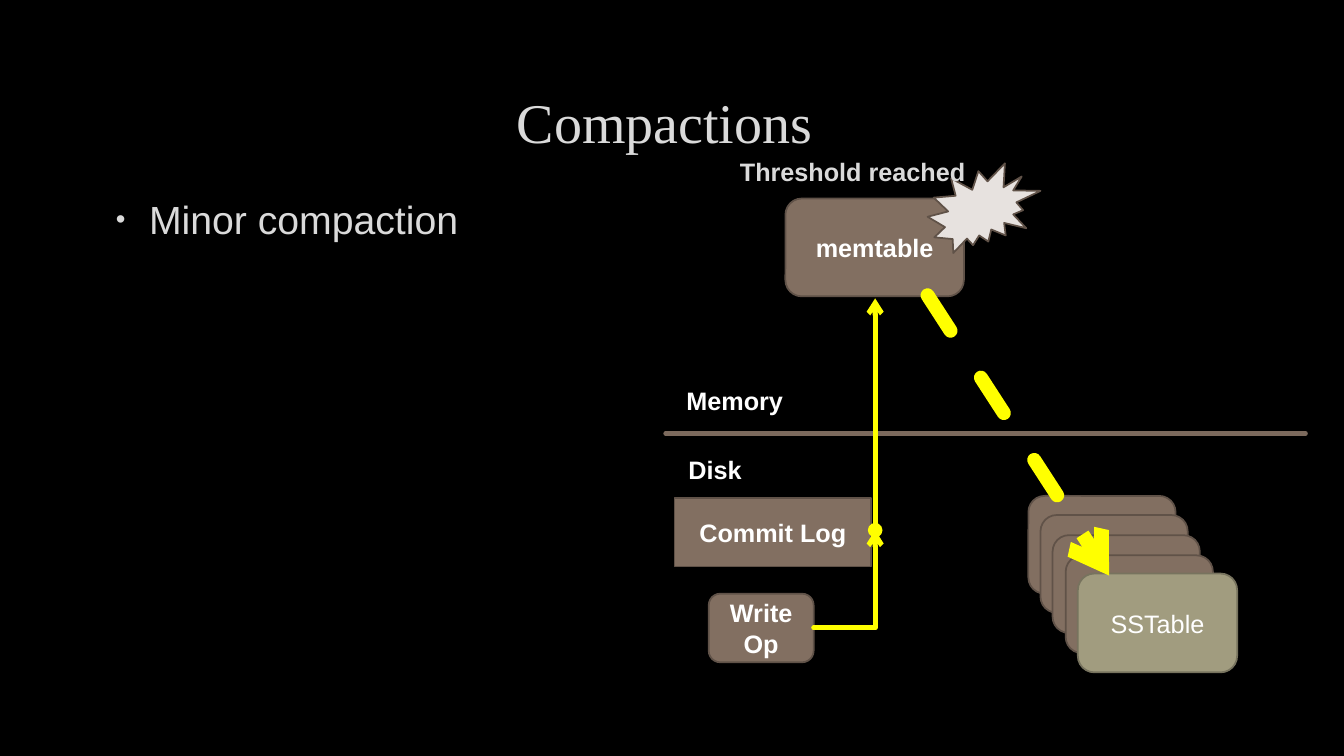
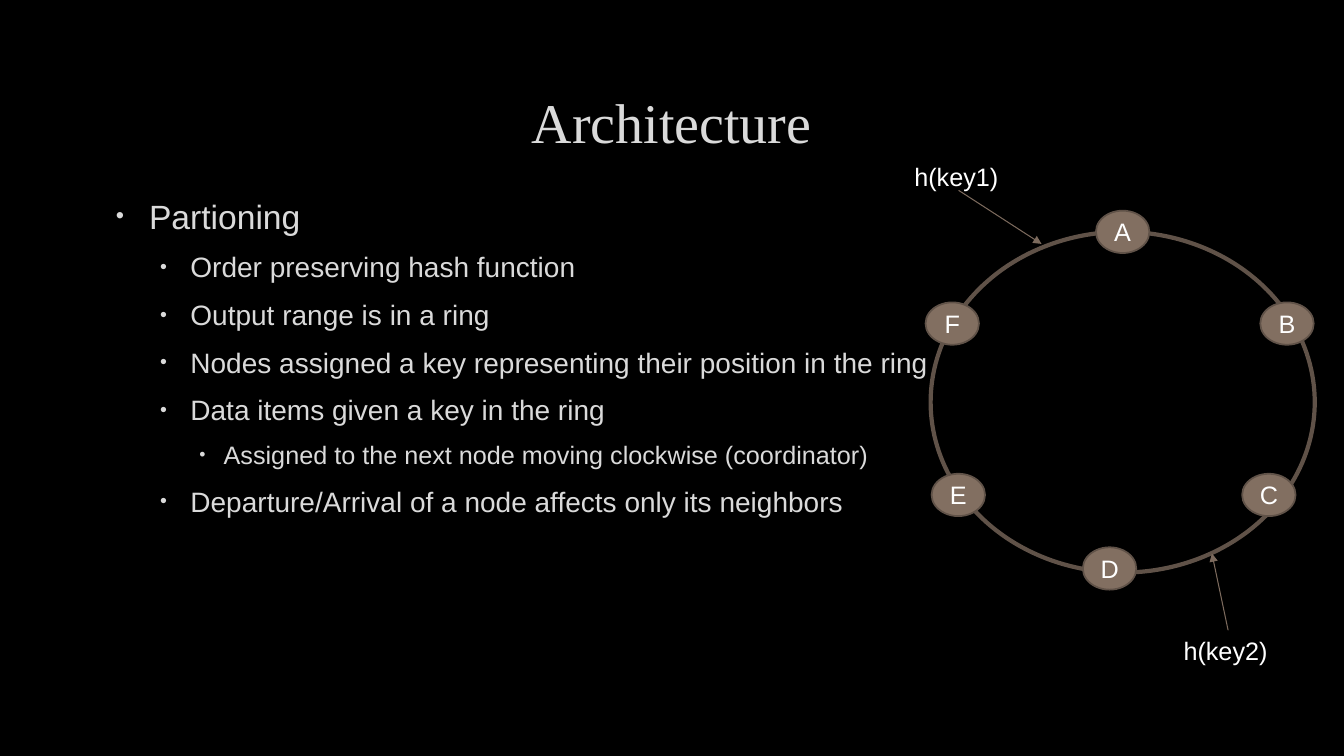
from dataclasses import dataclass

from lxml import etree
from pptx import Presentation
from pptx.dml.color import RGBColor
from pptx.enum.dml import MSO_LINE
from pptx.enum.shapes import MSO_CONNECTOR, MSO_SHAPE
from pptx.enum.text import MSO_ANCHOR, PP_ALIGN
from pptx.oxml.ns import qn
from pptx.util import Emu, Pt

STRAIGHT, ELBOW = MSO_CONNECTOR.STRAIGHT, MSO_CONNECTOR.ELBOW
RECTANGLE, ROUNDED = MSO_SHAPE.RECTANGLE, MSO_SHAPE.ROUNDED_RECTANGLE
OVAL, BURST = MSO_SHAPE.OVAL, MSO_SHAPE.EXPLOSION2
TOP, MIDDLE = MSO_ANCHOR.TOP, MSO_ANCHOR.MIDDLE
LEFT, CENTER = PP_ALIGN.LEFT, PP_ALIGN.CENTER
DASH = MSO_LINE.DASH
EMU_PER_PX = 9144
BLANK_LAYOUT = 6


@dataclass(frozen=True)
class Theme:
    background: str = "000000"
    text: str = "DADADA"
    white: str = "FFFFFF"
    box: str = "826F61"
    edge: str = "605248"
    rule: str = "7C6A5D"
    flow: str = "FFFF00"
    burst: str = "E7E2DF"
    fresh: str = "A19C7F"
    fresh_edge: str = "77735E"
    title_font: str = "Times New Roman"
    body_font: str = "Arial"
    title_size: int = 40
    lead_size: int = 28
    body_size: int = 24
    item_size: int = 20
    label_size: int = 18
    edge_width: float = 1.25
    rule_width: float = 3
    hair_width: float = 0.75
    flow_width: float = 3.5
    flush_width: float = 10


THEME = Theme()
INDENTS = ((38, -33), (79, -30), (112, -24))


def px(length):
    return Emu(length * EMU_PER_PX)


def color(value):
    return RGBColor.from_string(value)


def set_format(target, values):
    for name, value in values.items():
        setattr(target, name, value)


def add_element(parent, tag, **attributes):
    element = etree.SubElement(parent, qn(tag))
    for name, value in attributes.items():
        element.set(name, str(value))
    return element


def write_text(paragraph, text, size=THEME.label_size, ink=THEME.white,
               font=THEME.body_font, bold=False, align=LEFT):
    paragraph.alignment = align
    run = paragraph.add_run()
    run.text = text
    set_format(run.font, {"size": Pt(size), "name": font, "bold": bold})
    run.font.color.rgb = color(ink)


def add_text_box(slide, box, anchor=TOP, wrap=True):
    frame = slide.shapes.add_textbox(*map(px, box)).text_frame
    set_format(frame, {"word_wrap": wrap, "vertical_anchor": anchor})
    return frame


def add_label(slide, box, text, wrap=True, **style):
    frame = add_text_box(slide, box, wrap=wrap)
    write_text(frame.paragraphs[0], text, **style)


def add_title(slide, text):
    frame = add_text_box(slide, (100, 67, 1132, 106), MIDDLE)
    write_text(frame.paragraphs[0], text, size=THEME.title_size, ink=THEME.text,
               font=THEME.title_font, align=CENTER)


def format_bullet(paragraph, level):
    margin, indent = INDENTS[level]
    properties = paragraph._p.get_or_add_pPr()
    properties.set("marL", str(px(margin)))
    properties.set("indent", str(px(indent)))
    before = add_element(properties, "a:spcBef")
    add_element(before, "a:spcPct", val=20000)
    after = add_element(properties, "a:spcAft")
    add_element(after, "a:spcPts", val=600)
    bullet_color = add_element(properties, "a:buClr")
    add_element(bullet_color, "a:srgbClr", val=THEME.text)
    add_element(properties, "a:buSzPct", val=70000)
    add_element(properties, "a:buFont", typeface=THEME.body_font)
    add_element(properties, "a:buChar", char="•")


def add_bullets(slide, items, sizes):
    frame = add_text_box(slide, (100, 189, 1132, 485))
    for index, (level, text) in enumerate(items):
        paragraph = frame.add_paragraph() if index else frame.paragraphs[0]
        paragraph.level = level
        format_bullet(paragraph, level)
        write_text(paragraph, text, size=sizes[level], ink=THEME.text)


def add_box(slide, kind, box, text="", fill=THEME.box, edge=THEME.edge,
            width=THEME.edge_width, bold=False):
    shape = slide.shapes.add_shape(kind, *map(px, box))
    shape.shadow.inherit = False
    if fill:
        shape.fill.solid()
        shape.fill.fore_color.rgb = color(fill)
    else:
        shape.fill.background()
    shape.line.color.rgb = color(edge)
    shape.line.width = Pt(width)
    if text:
        shape.text_frame.vertical_anchor = MIDDLE
        write_text(shape.text_frame.paragraphs[0], text, bold=bold, align=CENTER)


def add_line(slide, start, end, ink=THEME.flow, width=THEME.flow_width,
             kind=STRAIGHT, dash=None, head=None, tail=None):
    connector = slide.shapes.add_connector(kind, *map(px, start + end))
    connector.line.color.rgb = color(ink)
    set_format(connector.line, {"width": Pt(width), "dash_style": dash})
    properties = connector._element.spPr
    if kind == ELBOW:
        properties.find(qn("a:prstGeom")).set("prst", "bentConnector2")
    outline = properties.find(qn("a:ln"))
    outline.set("cap", "rnd")
    for tag, arrow in (("a:headEnd", head), ("a:tailEnd", tail)):
        if arrow:
            add_element(outline, tag, type=arrow)
    add_element(properties, "a:effectLst")


def add_slide(presentation, title):
    slide = presentation.slides.add_slide(presentation.slide_layouts[BLANK_LAYOUT])
    add_title(slide, title)
    return slide


def add_compactions(presentation):
    slide = add_slide(presentation, "Compactions ")
    add_bullets(slide, [(0, "Minor compaction")], [THEME.lead_size])
    add_line(slide, (660, 430), (1295, 430), THEME.rule, THEME.rule_width)
    add_label(slide, (671, 377, 152, 38), "Memory", bold=True)
    add_label(slide, (673, 446, 92, 47), "Disk", bold=True)
    for kind, box, text in (
        (ROUNDED, (703, 589, 104, 68), "Write Op"),
        (RECTANGLE, (669, 494, 195, 68), "Commit Log"),
        (ROUNDED, (779, 197, 177, 97), "memtable"),
    ):
        add_box(slide, kind, box, text, bold=True)
    add_line(slide, (807, 623), (868, 526), kind=ELBOW, tail="arrow")
    add_line(slide, (868, 526), (868, 296), head="oval", tail="arrow")
    for index in range(4):
        add_box(slide, ROUNDED, (1020 + 37 * index // 3, 492 + 59 * index // 3, 146, 97))
    add_box(slide, BURST, (920, 162, 112, 89), fill=THEME.burst)
    add_label(slide, (724, 150, 252, 40), "Threshold reached", ink=THEME.text, bold=True)
    add_box(slide, ROUNDED, (1069, 569, 158, 98), "SSTable", THEME.fresh, THEME.fresh_edge)
    add_line(slide, (920, 293), (1100, 571), width=THEME.flush_width, dash=DASH, tail="arrow")


def add_architecture(presentation):
    slide = add_slide(presentation, "Architecture")
    add_bullets(slide, [
        (0, "Partioning"),
        (1, "Order preserving hash function"),
        (1, "Output range is in a ring"),
        (1, "Nodes assigned a key representing their position in the ring"),
        (1, "Data items given a key in the ring"),
        (2, "Assigned to the next node moving clockwise (coordinator)"),
        (1, "Departure/Arrival of a node affects only its neighbors"),
    ], [THEME.body_size, THEME.item_size, THEME.label_size])
    add_box(slide, OVAL, (923, 230, 381, 338), fill=None, width=THEME.rule_width)
    nodes = {"A": (1087, 209), "B": (1250, 300), "C": (1232, 470),
             "D": (1074, 543), "E": (924, 470), "F": (918, 300)}
    for name, (left, top) in nodes.items():
        add_box(slide, OVAL, (left, top, 53, 42), name)
    for text, corner, start, end in (
        ("h(key1)", (897, 155), (951, 189), (1033, 242)),
        ("h(key2)", (1164, 625), (1218, 625), (1202, 549)),
    ):
        add_line(slide, start, end, THEME.rule, THEME.hair_width, tail="triangle")
        add_label(slide, (*corner, 104, 40), text, wrap=False)


def main():
    presentation = Presentation()
    set_format(presentation, {"slide_width": px(1333), "slide_height": px(750)})
    background = presentation.slide_master.background.fill
    background.solid()
    background.fore_color.rgb = color(THEME.background)
    add_compactions(presentation)
    add_architecture(presentation)
    presentation.save("out.pptx")


if __name__ == "__main__":
    main()
